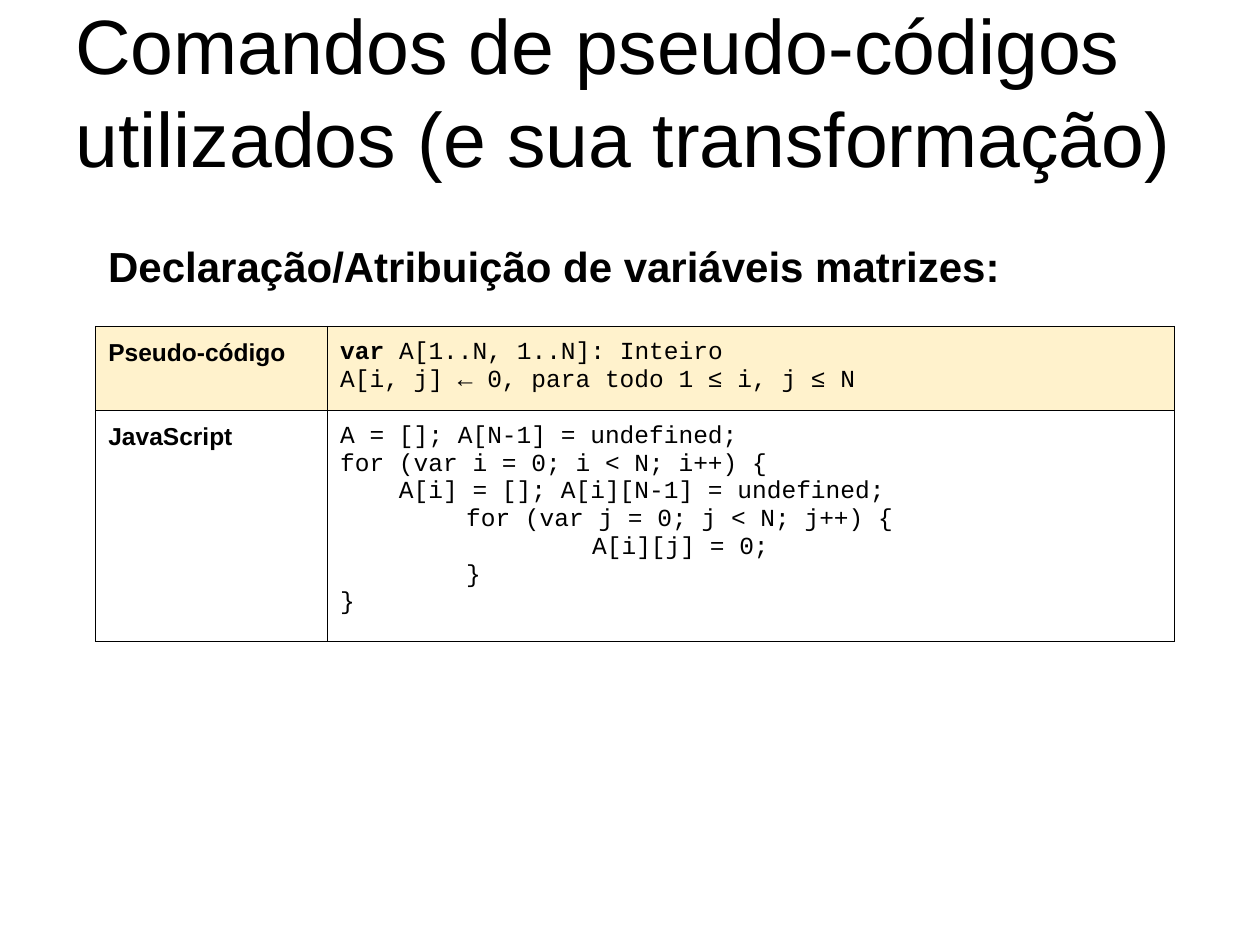
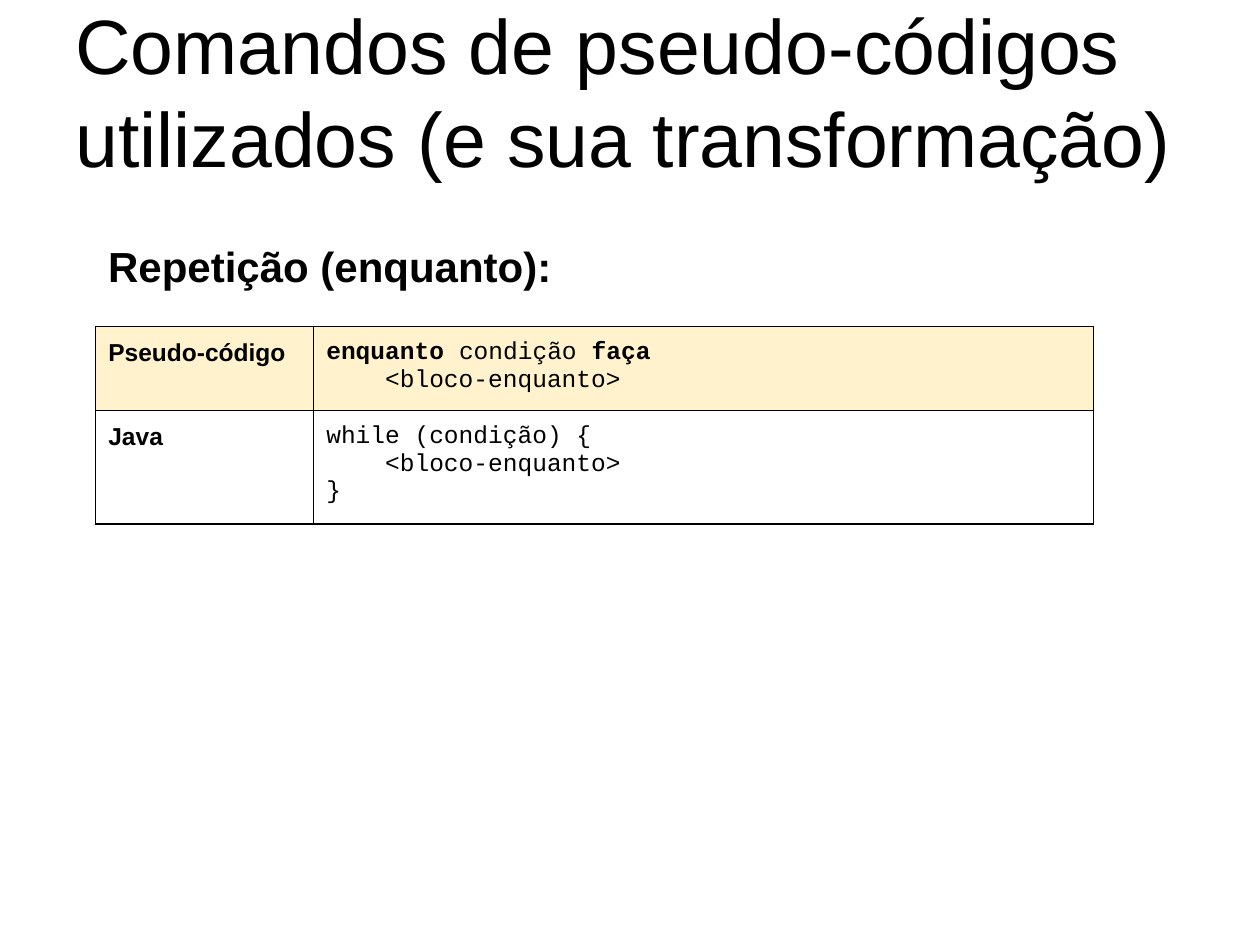
from dataclasses import dataclass

from lxml import etree
from pptx import Presentation
from pptx import util as u
from pptx.dml.color import RGBColor
from pptx.enum import text
from pptx.oxml import ns


@dataclass(frozen=True)
class Theme:
    ink: str = "000000"
    highlight: str = "FFF2CC"
    paper: str = "FFFFFF"
    prose: str = "Arial"
    code: str = "Courier New"
    title_size: int = 44
    heading_size: int = 24
    cell_size: int = 14
    border: float = 0.75
    inset: float = 7.2
    tab: int = 72


THEME = Theme()
TITLE = "Comandos de pseudo-códigos utilizados (e sua transformação)"
BOLD_MARK = "**"
LEFT = 54.72

LESSONS = [
    {
        "heading": "Declaração/Atribuição de variáveis matrizes:",
        "columns": (132.48, 483.84),
        "pseudocode": [
            "**var **A[1..N, 1..N]: Inteiro",
            "A[i, j] ← 0, para todo 1 ≤ i, j ≤ N",
        ],
        "language": "JavaScript",
        "program": [
            "A = []; A[N-1] = undefined;",
            "for (var i = 0; i < N; i++) {",
            "    A[i] = []; A[i][N-1] = undefined;",
            "\tfor (var j = 0; j < N; j++) {",
            "\t\tA[i][j] = 0;",
            "\t}",
            "}",
        ],
    },
    {
        "heading": "Repetição (enquanto):",
        "columns": (124.56, 445.68),
        "pseudocode": [
            "**enquanto **condição **faça**",
            "    <bloco-enquanto>",
        ],
        "language": "Java",
        "program": ["while (condição) {", "    <bloco-enquanto>", "}"],
    },
]


def add_tab_stops(paragraph, count=2):
    properties = paragraph._p.get_or_add_pPr()
    stops = etree.SubElement(properties, ns.qn("a:tabLst"))
    for stop in range(1, count + 1):
        etree.SubElement(stops, ns.qn("a:tab"),
                         pos=str(u.Pt(stop * THEME.tab)), algn="l")


def write_text(frame, lines, *, font=THEME.prose, size=THEME.cell_size,
               bold=False, spacing=None):
    frame.word_wrap = True
    for number, line in enumerate(lines):
        paragraph = frame.paragraphs[0] if number == 0 else frame.add_paragraph()
        paragraph.alignment = text.PP_ALIGN.LEFT
        if spacing:
            paragraph.line_spacing = spacing
        if "\t" in line:
            add_tab_stops(paragraph)
        for index, piece in enumerate(line.split(BOLD_MARK)):
            if not piece:
                continue
            run = paragraph.add_run()
            run.text = piece
            run.font.name = font
            run.font.size = u.Pt(size)
            run.font.bold = bold or index % 2 == 1
            run.font.color.rgb = RGBColor.from_string(THEME.ink)


def set_insets(holder):
    for side in ("left", "top", "right", "bottom"):
        setattr(holder, f"margin_{side}", u.Pt(THEME.inset))


def add_text_box(slide, bounds, content, anchor=text.MSO_ANCHOR.TOP, **style):
    frame = slide.shapes.add_textbox(*map(u.Pt, bounds)).text_frame
    set_insets(frame)
    frame.vertical_anchor = anchor
    write_text(frame, [content], **style)


def draw_borders(cell):
    properties = cell._tc.get_or_add_tcPr()
    for position, edge in enumerate(("lnL", "lnR", "lnT", "lnB")):
        line = etree.Element(ns.qn(f"a:{edge}"), w=str(u.Pt(THEME.border)))
        fill = etree.SubElement(line, ns.qn("a:solidFill"))
        etree.SubElement(fill, ns.qn("a:srgbClr"), val=THEME.ink)
        properties.insert(position, line)


def fill_cell(cell, lines, background, **style):
    set_insets(cell)
    cell.vertical_anchor = text.MSO_ANCHOR.TOP
    if background:
        cell.fill.solid()
        cell.fill.fore_color.rgb = RGBColor.from_string(background)
    else:
        cell.fill.background()
    draw_borders(cell)
    write_text(cell.text_frame, lines, **style)


def add_comparison(slide, columns, entries, top=186.48, row_height=30.24):
    bounds = (LEFT, top, sum(columns), row_height * len(entries))
    table = slide.shapes.add_table(len(entries), len(columns),
                                   *map(u.Pt, bounds)).table
    table.first_row = table.horz_banding = False
    for column, width in zip(table.columns, columns):
        column.width = u.Pt(width)
    for row, (label, code, background) in enumerate(entries):
        table.rows[row].height = u.Pt(row_height)
        fill_cell(table.cell(row, 0), [label], background, bold=True)
        fill_cell(table.cell(row, 1), code, background, font=THEME.code)


def add_lesson(deck, lesson):
    slide = deck.slides.add_slide(deck.slide_layouts[6])
    slide.background.fill.solid()
    slide.background.fill.fore_color.rgb = RGBColor.from_string(THEME.paper)
    add_text_box(slide, (LEFT, 126, 570.24, 390.96), lesson["heading"],
                 size=THEME.heading_size, bold=True, spacing=1.15)
    add_text_box(slide, (36, 21.6, 648, 90), TITLE,
                 anchor=text.MSO_ANCHOR.BOTTOM, size=THEME.title_size)
    add_comparison(slide, lesson["columns"], [
        ("Pseudo-código", lesson["pseudocode"], THEME.highlight),
        (lesson["language"], lesson["program"], None),
    ])


def main():
    deck = Presentation()
    deck.slide_width, deck.slide_height = u.Pt(720), u.Pt(540)
    for lesson in LESSONS:
        add_lesson(deck, lesson)
    deck.save("out.pptx")


if __name__ == "__main__":
    main()
